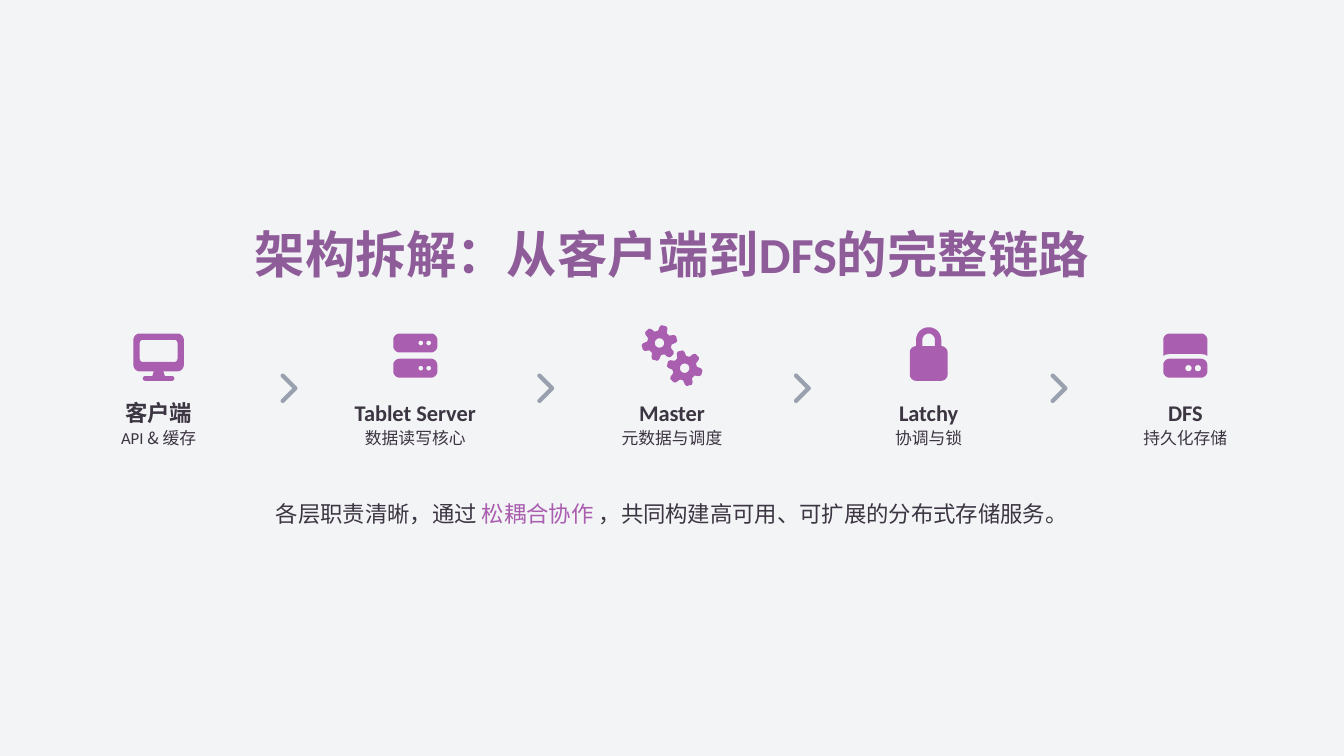
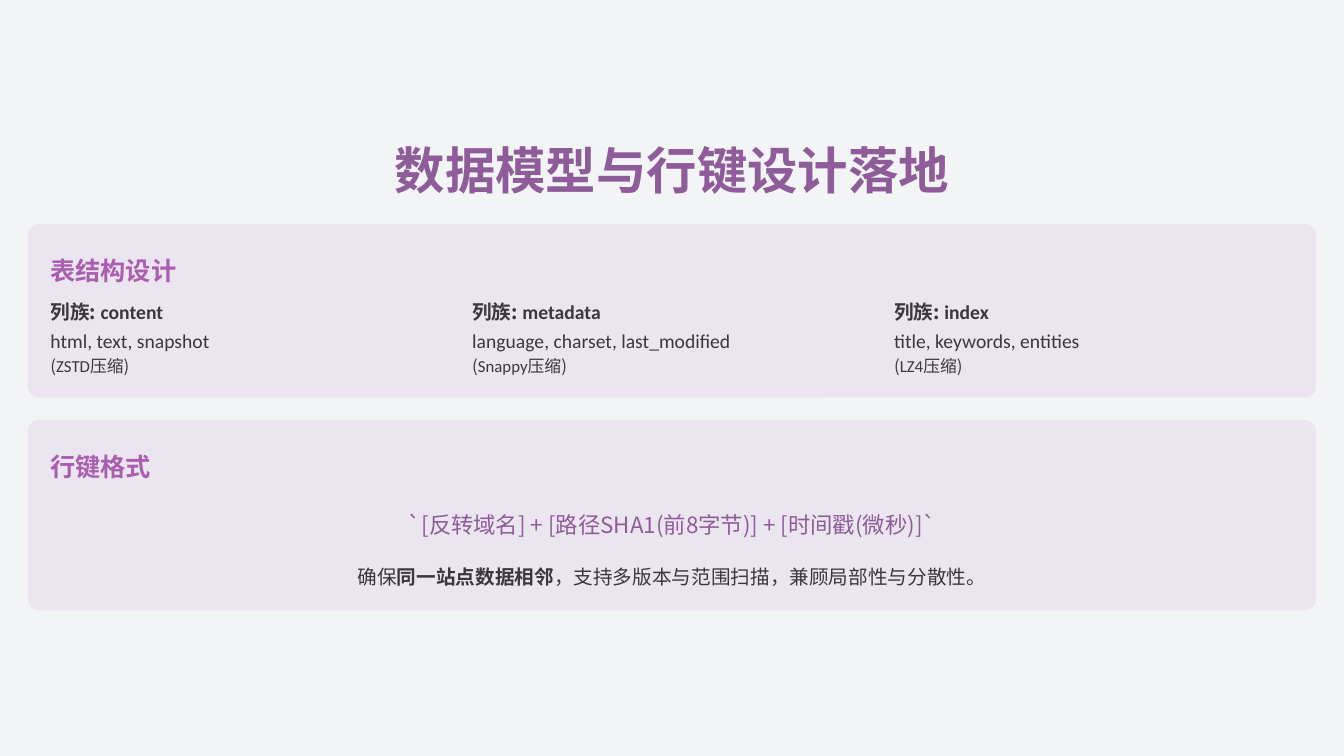
from math import cos, radians, sin
from lxml.etree import SubElement
from pptx import Presentation
from pptx.dml.color import RGBColor
from pptx.enum.shapes import MSO_SHAPE as Preset
from pptx.enum.text import MSO_ANCHOR as Anchor, MSO_AUTO_SIZE as Fit, PP_ALIGN as Align
from pptx.oxml.ns import qn
from pptx.util import Inches, Pt

PX = Inches(1) / 108
WIDE, HIGH = 1440, 810
GRID = 512
PAPER = RGBColor(0xF3, 0xF4, 0xF6)
PLUM = RGBColor(0x8F, 0x5C, 0x9A)
VIOLET = RGBColor(0xA9, 0x5E, 0xAF)
LILAC = RGBColor(0xD3, 0xB9, 0xD7)
INK = RGBColor(0x3C, 0x35, 0x42)
GREY = RGBColor(0x99, 0xA1, 0xAF)
HAN, LATIN = "Noto Sans CJK SC", "Calibri"


def px(n):
    return round(n * PX)


def style(font, face=None, size=None, color=None, bold=None):
    if size:
        font.size = Pt(size)
    if bold is not None:
        font.bold = bold
    if color is not None:
        font.color.rgb = color
    if face:
        font.name = face
        SubElement(font._rPr, qn("a:ea")).set("typeface", HAN)


def write(para, runs, size, color=INK, bold=False, face=HAN, align=Align.LEFT, space=1.2):
    para.alignment = align
    para.line_spacing = space
    para.space_before = Pt(0)
    style(para.font, face, size, color, bold)
    for words, look in runs:
        run = para.add_run()
        run.text = words
        style(run.font, **look)


def frame(shape, box, inset=0):
    shape.left, shape.top, shape.width, shape.height = map(px, box)
    body = shape.text_frame
    body.word_wrap = True
    body.auto_size = Fit.NONE
    body.vertical_anchor = Anchor.MIDDLE
    body.margin_left = body.margin_right = px(inset)
    body.margin_top = body.margin_bottom = px(inset)
    return body


def label(slide, box, runs, size, inset=0, **look):
    body = frame(slide.shapes.add_textbox(0, 0, 0, 0), box, inset)
    write(body.paragraphs[0], runs, size, **look)


def plain(words):
    return [(words, {})]


def page(deck, top, runs):
    slide = deck.slides.add_slide(deck.slide_layouts[5])
    body = frame(slide.shapes.title, (16, top, 1408, 60))
    write(body.paragraphs[0], runs, 36, color=PLUM, bold=True, align=Align.CENTER, space=0.9)
    return slide


def arc(x, y, r, start, end, step=15):
    return [(x + r * cos(radians(a)), y + r * sin(radians(a)))
            for a in range(start, end + 1, step)]


def pill(x, y, w, h, r):
    right, low = x + w - r, y + h - r
    return (arc(x + r, y + r, r, 180, 270) + arc(right, y + r, r, 270, 360)
            + arc(right, low, r, 0, 90) + arc(x + r, low, r, 90, 180))


def dots(xs, y, r):
    return [arc(x, y, r, 0, 345) for x in xs]


def gear(x, y, turn):
    tooth = [(-22, 125), (-14, 167), (-8, 182), (8, 182), (14, 167), (22, 125)]
    rim = [arc(x, y, r, turn + k * 60 + a, turn + k * 60 + a)[0]
           for k in range(6) for a, r in tooth]
    return [rim, arc(x, y, 48, 0, 345)]


def arch(r):
    return [(192 - r, 160)] + arc(192, 96, r, 180, 360) + [(192 + r, 160)]


SCREEN = [pill(0, 32, 512, 384, 64), pill(64, 96, 384, 224, 32),
          [(208, 416), (304, 416), (320, 464), (192, 464)], pill(96, 464, 320, 48, 24)]
SERVER = [loop for y in (32, 288)
          for loop in [pill(0, y, 448, 192, 64)] + dots((280, 360), y + 96, 24)]
GEARS = gear(193, 128, 45) + gear(449, 384, 15)
LOCK = [arch(128), arch(64), pill(0, 160, 384, 352, 64)]
DISK = [arc(64, 96, 64, 180, 270) + arc(384, 96, 64, 270, 360)
        + [(448, 258), (420, 245), (384, 240), (64, 240), (28, 245), (0, 258)],
        pill(0, 288, 448, 192, 64)] + dots((256, 352), 384, 32)
CHEVRON = [arc(96, 64, 32, 135, 315) + arc(288, 256, 32, -45, 45)
           + arc(96, 448, 32, 45, 225) + [(243, 256)]]


def icon(slide, mid, top, size, span, loops, color):
    unit = px(size) / GRID
    pen = slide.shapes.build_freeform(*loops[0][0], scale=unit)
    for i, loop in enumerate(loops):
        if i:
            pen.move_to(*loop[0])
        pen.add_line_segments(loop[1:], close=True)
    shape = pen.convert_to_shape(round(px(mid) - span * unit / 2), px(top))
    paint(shape, color)


def paint(shape, color, alpha=None):
    shape.shadow.inherit = False
    shape.fill.solid()
    shape.fill.fore_color.rgb = color
    shape.line.fill.background()
    if alpha:
        tint = shape.fill._xPr.find(".//" + qn("a:srgbClr"))
        SubElement(tint, qn("a:alpha")).set("val", str(alpha * 1000))


def stage(slide, mid, top, loops, span, name, face, wide, note, broad):
    icon(slide, mid, top, 54, span, loops, VIOLET)
    label(slide, (mid - wide / 2, top + 66, wide, 36), plain(name), 16,
          bold=True, face=face, align=Align.CENTER, space=1.3)
    label(slide, (mid - broad / 2, top + 102, broad, 24), note, 12,
          align=Align.CENTER, space=1.1)


def chain(deck):
    slide = page(deck, 246, [("架构拆解：从客户端到", {}), ("DFS", {"face": LATIN}),
                             ("的完整链路", {})])
    stages = [
        (SCREEN, 512, "客户端", HAN, 84, [("API", {"face": LATIN}), (" & 缓存", {})], 98),
        (SERVER, 448, "Tablet Server", LATIN, 166, plain("数据读写核心"), 118),
        (GEARS, 640, "Master", LATIN, 92, plain("元数据与调度"), 118),
        (LOCK, 384, "Latchy", LATIN, 100, plain("协调与锁"), 82),
        (DISK, 448, "DFS", LATIN, 60, plain("持久化存储"), 100),
    ]
    step, top = 275, 354
    first = WIDE / 2 - step * (len(stages) - 1) / 2
    for i, parts in enumerate(stages):
        mid = first + i * step
        if i:
            icon(slide, mid - step / 2, top + 44, 36, 320, CHEVRON, GREY)
        stage(slide, mid, top, *parts)
    label(slide, (24, 528, 1392, 36),
          [("各层职责清晰，通过", {}), (" 松耦合协作 ", {"color": VIOLET}),
           ("，共同构建高可用、可扩展的分布式存储服务。", {})],
          16, align=Align.CENTER, space=1.3)


def card(slide, box, head):
    x, y, w, h = box
    shape = slide.shapes.add_shape(Preset.ROUNDED_RECTANGLE, *map(px, box))
    shape.adjustments[0] = 12 / h
    paint(shape, LILAC, 25)
    label(slide, (x + 24, y + 24, w - 34, 42), plain(head), 18,
          color=VIOLET, bold=True, space=1.3)


def family(slide, box, name, fields, codec):
    body = frame(slide.shapes.add_textbox(0, 0, 0, 0), box)
    write(body.paragraphs[0], [("列族: ", {}), (name, {"face": LATIN})], 14, bold=True)
    write(body.add_paragraph(), plain(fields), 14, face=LATIN)
    write(body.add_paragraph(), [("(", {}), (codec, {"face": LATIN}), ("压缩)", {})], 12)


def tables(slide, box):
    card(slide, box, "表结构设计")
    families = [("content", "html, text, snapshot", "ZSTD"),
                ("metadata", "language, charset, last_modified", "Snappy"),
                ("index", "title, keywords, entities", "LZ4")]
    x, y = box[:2]
    for i, parts in enumerate(families):
        family(slide, (x + 24 + i * 452, y + 78, 438, 84), *parts)


def keys(slide, box):
    card(slide, box, "行键格式")
    x, y, w, h = box
    label(slide, (x + 18, y + 78, w - 36, 60),
          plain("`[反转域名] + [路径SHA1(前8字节)] + [时间戳(微秒)]`"), 16,
          inset=12, color=PLUM, align=Align.CENTER, space=1.3)
    label(slide, (x + 18, y + 150, w - 36, 30),
          [("确保", {}), ("同一站点数据相邻", {"bold": True}),
           ("，支持多版本与范围扫描，兼顾局部性与分散性。", {})],
          14, align=Align.CENTER)


def model(deck):
    slide = page(deck, 156, plain("数据模型与行键设计落地"))
    tables(slide, (30, 240, 1380, 186))
    keys(slide, (30, 450, 1380, 204))


def main():
    deck = Presentation()
    deck.slide_width, deck.slide_height = px(WIDE), px(HIGH)
    back = deck.slide_master.background.fill
    back.solid()
    back.fore_color.rgb = PAPER
    chain(deck)
    model(deck)
    deck.save("out.pptx")


if __name__ == "__main__":
    main()
